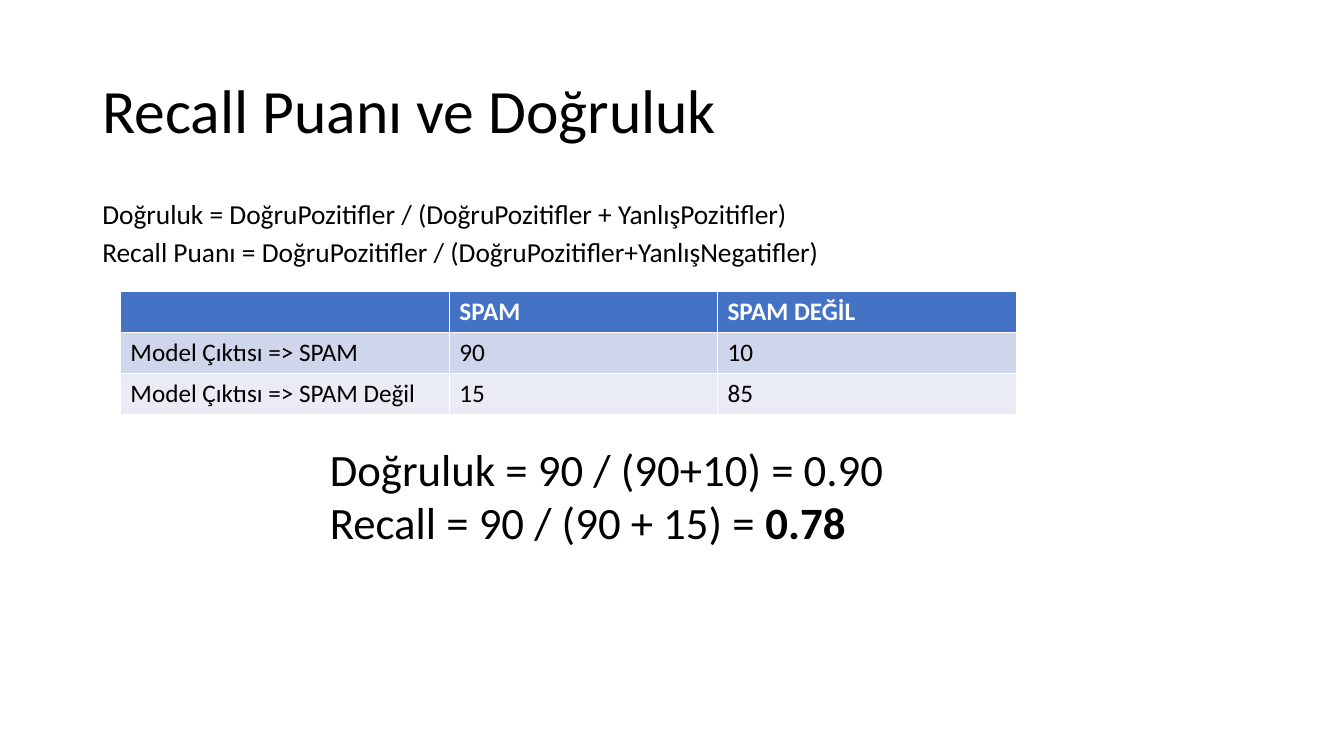
"""Build the slide on recall score and precision for a spam model."""
import pptx
import pptx.dml.color
import pptx.enum.text
import pptx.util

Pt = pptx.util.Pt
BLACK = pptx.dml.color.RGBColor(0x00, 0x00, 0x00)
WHITE = pptx.dml.color.RGBColor(0xFF, 0xFF, 0xFF)
HEADER_BLUE = pptx.dml.color.RGBColor(0x44, 0x72, 0xC4)
BAND_DARK = pptx.dml.color.RGBColor(0xCF, 0xD5, 0xEA)
BAND_LIGHT = pptx.dml.color.RGBColor(0xE9, 0xEB, 0xF5)


def add_span(para, text, size, color=BLACK, bold=False):
    span = para.add_run()
    span.text = text
    span.font.name = "Calibri"
    span.font.size = Pt(size)
    span.font.color.rgb = color
    span.font.bold = bold


def add_box(left, top, width, height, lines, size, line_spacing=1.0, space_before=0):
    box = page.shapes.add_textbox(Pt(left), Pt(top), Pt(width), Pt(height))
    frame = box.text_frame
    frame.word_wrap = True
    for index, spans in enumerate(lines):
        para = frame.paragraphs[0] if index == 0 else frame.add_paragraph()
        para.line_spacing = line_spacing
        para.space_before = Pt(space_before)
        for text, bold in spans:
            add_span(para, text, size, bold=bold)
    return frame


deck = pptx.Presentation()
deck.slide_width = Pt(960)
deck.slide_height = Pt(540)
page = deck.slides.add_slide(deck.slide_layouts[6])

title = add_box(66, 28.75, 828, 104.4, [[("Recall Puanı ve Doğruluk", False)]], 44, 0.9)
title.vertical_anchor = pptx.enum.text.MSO_ANCHOR.MIDDLE

formulas = [
    [("Doğruluk = DoğruPozitifler / (DoğruPozitifler + YanlışPozitifler)", False)],
    [("Recall Puanı = DoğruPozitifler / (DoğruPozitifler+YanlışNegatifler)", False)],
]
add_box(66, 144, 828, 54, formulas, 19.6, 0.7, 10)

confusion_rows = [
    (HEADER_BLUE, WHITE, ["", "SPAM", "SPAM DEĞİL"]),
    (BAND_DARK, BLACK, ["Model Çıktısı => SPAM", "90", "10"]),
    (BAND_LIGHT, BLACK, ["Model Çıktısı => SPAM Değil", "15", "85"]),
]
column_widths = [235, 191.5, 213.5]
row_height = 29.2
table = page.shapes.add_table(
    len(confusion_rows), len(column_widths), Pt(86), Pt(208.2),
    Pt(sum(column_widths)), Pt(row_height * len(confusion_rows)),
).table
for column, width in zip(table.columns, column_widths):
    column.width = Pt(width)
for row_index, (fill, color, texts) in enumerate(confusion_rows):
    for column_index, text in enumerate(texts):
        cell = table.cell(row_index, column_index)
        cell.fill.solid()
        cell.fill.fore_color.rgb = fill
        if text:
            add_span(cell.text_frame.paragraphs[0], text, 18, color, bold=row_index == 0)

results = [
    [("Doğruluk = 90 / (90+10) = 0.90", False)],
    [("Recall = 90 / (90 + 15) = ", False), ("0.78", True)],
]
result_frame = add_box(228.5, 311.75, 438.5, 85, results, 32)
result_frame.auto_size = pptx.enum.text.MSO_AUTO_SIZE.SHAPE_TO_FIT_TEXT

deck.save("out.pptx")
